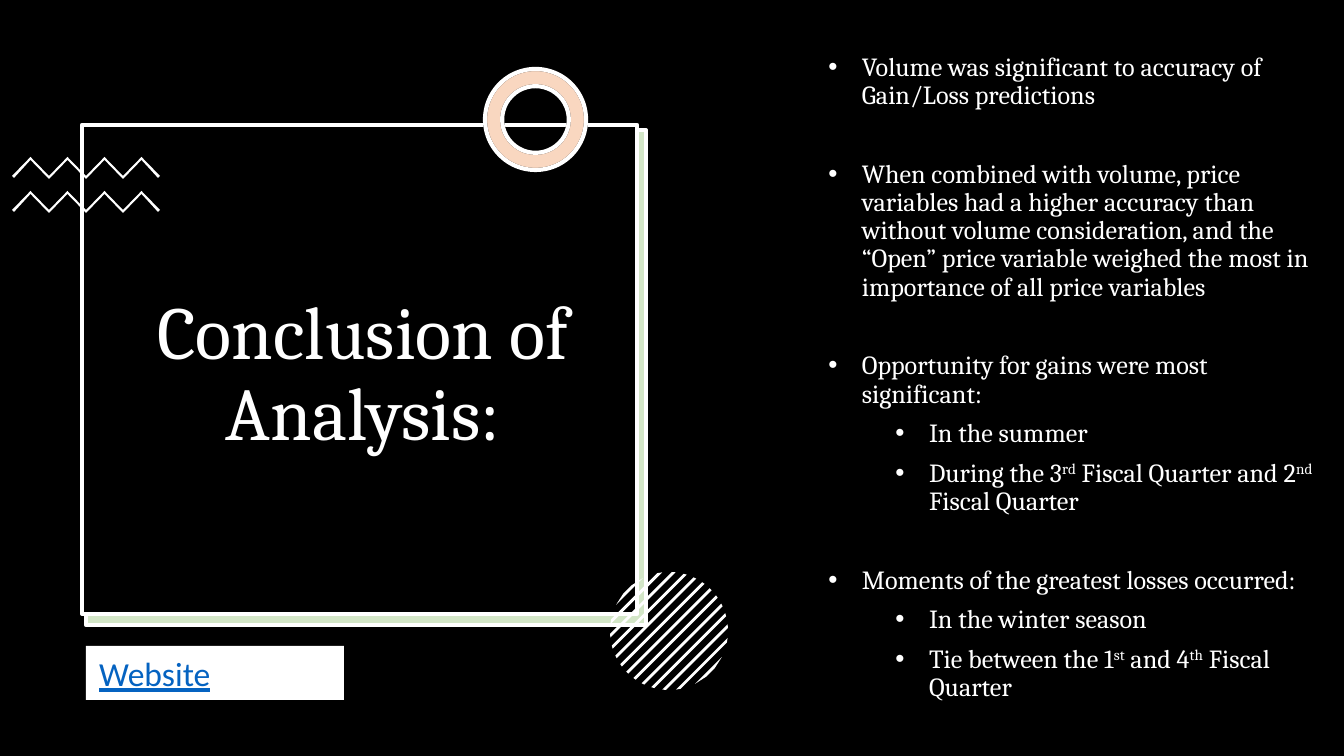
import math
from dataclasses import dataclass

from lxml import etree
from pptx import Presentation
from pptx import util as u
from pptx.dml.color import RGBColor
from pptx.enum import shapes, text
from pptx.oxml import ns

SCALE = u.Inches(10) / 1344


@dataclass(frozen=True)
class Theme:
    dark: str = "000000"
    light: str = "FFFFFF"
    green: str = "70AD47"
    orange: str = "ED7D31"
    link: str = "0563C1"
    serif: str = "Cambria"
    sans: str = "Calibri"
    title: int = 40
    body: int = 14
    label: int = 18
    outline: float = 2.25
    tint: int = 30


THEME = Theme()

FINDINGS = [
    (1, "Volume was significant to accuracy of Gain/Loss predictions"),
    (1, "When combined with volume, price variables had a higher accuracy than "
        "without volume consideration, and the “Open” price variable weighed "
        "the most in importance of all price variables"),
    (1, "Opportunity for gains were most significant:"),
    (2, "In the summer"),
    (2, "During the 3^rd^ Fiscal Quarter and 2^nd^ Fiscal Quarter"),
    (1, "Moments of the greatest losses occurred:"),
    (2, "In the winter season"),
    (2, "Tie between the 1^st^ and 4^th^ Fiscal Quarter"),
]


def px(value):
    return u.Emu(round(value * SCALE))


def set_all(target, values):
    for name, value in values.items():
        setattr(target, name, value)


def place(shape, left, top, width, height):
    set_all(shape, dict(left=px(left), top=px(top), width=px(width), height=px(height)))


def add_child(parent, tag, **attributes):
    return etree.SubElement(parent, ns.qn(tag), attributes)


def paint(shape, fill, line=None, alpha=None):
    shape.shadow.inherit = False
    shape.fill.solid()
    shape.fill.fore_color.rgb = RGBColor.from_string(fill)
    if alpha:
        color = shape.element.spPr.find(".//" + ns.qn("a:srgbClr"))
        add_child(color, "a:alpha", val=str(alpha * 1000))
    if line:
        shape.line.color.rgb = RGBColor.from_string(line)
        shape.line.width = u.Pt(THEME.outline)
    else:
        shape.line.fill.background()


def add_preset(slide, kind, box, fill, line=None, alpha=None):
    shape = slide.shapes.add_shape(kind, *map(px, box))
    paint(shape, fill, line, alpha)
    return shape


def add_outline(group, points):
    start, *rest = [(px(x), px(y)) for x, y in points]
    builder = group.shapes.build_freeform(*start, scale=1.0)
    builder.add_line_segments(rest, close=True)
    paint(builder.convert_to_shape(), THEME.light)


def add_zigzags(slide, left, tops):
    step, rise, thickness = 18.5, 19, 3
    group = slide.shapes.add_group_shape()
    for top in tops:
        upper = [(left + step * i, top + rise * (1 - i % 2)) for i in range(9)]
        lower = [(x, y + thickness) for x, y in upper[1:-1]]
        first = (left + 2, top + rise + 2)
        last = (left + 8 * step - 2, top + rise + 2)
        add_outline(group, upper + [last] + lower[::-1] + [first])


def add_striped_circle(slide, center_x, center_y, radius):
    pitch, half_width = 13.5, 2

    def chord(offset):
        reach = math.sqrt(radius ** 2 - offset ** 2 / 2) / math.sqrt(2)
        x, y = center_x + offset / 2, center_y + offset / 2
        return [(x + reach, y - reach), (x - reach, y + reach)]

    group = slide.shapes.add_group_shape()
    for index in range(-6, 7):
        middle = index * pitch
        add_outline(group, chord(middle - half_width) + chord(middle + half_width)[::-1])


def add_run(paragraph, words, size, font, color, **values):
    run = paragraph.add_run()
    run.text = words
    set_all(run.font, dict(size=u.Pt(size), name=font, **values))
    run.font.color.rgb = RGBColor.from_string(color)
    return run


def bring_forward(shape):
    shape.element.getparent().append(shape.element)


def fill_title(slide, words):
    title = slide.shapes.title
    bring_forward(title)
    place(title, 93, 153, 540, 446)
    set_all(title.text_frame, dict(word_wrap=True, auto_size=text.MSO_AUTO_SIZE.NONE,
                                   vertical_anchor=text.MSO_ANCHOR.MIDDLE))
    paragraph = title.text_frame.paragraphs[0]
    set_all(paragraph, dict(alignment=text.PP_ALIGN.CENTER, line_spacing=0.9,
                            space_before=u.Pt(0), space_after=u.Pt(6)))
    add_run(paragraph, words, THEME.title, THEME.serif, THEME.light)


def add_bullet(paragraph, level):
    properties = paragraph._p.get_or_add_pPr()
    set_all(paragraph, dict(level=level))
    properties.set("marL", str(u.Inches(0.5 + 0.5 * level)))
    properties.set("indent", str(u.Inches(-0.25)))
    add_child(add_child(properties, "a:buClr"), "a:srgbClr", val=THEME.light)
    add_child(properties, "a:buFont", typeface="Arial")
    add_child(properties, "a:buChar", char="•")


def fill_findings(slide, findings):
    body = slide.placeholders[1]
    bring_forward(body)
    place(body, 714, 47, 625, 701)
    frame = body.text_frame
    set_all(frame, dict(word_wrap=True, auto_size=text.MSO_AUTO_SIZE.NONE,
                        vertical_anchor=text.MSO_ANCHOR.TOP))
    for index, (level, words) in enumerate(findings):
        paragraph = frame.add_paragraph() if index else frame.paragraphs[0]
        before = 21 if index and level == 1 else 0
        add_bullet(paragraph, level)
        set_all(paragraph, dict(alignment=text.PP_ALIGN.LEFT, line_spacing=0.9,
                                space_before=u.Pt(before), space_after=u.Pt(6)))
        for position, part in enumerate(words.split("^")):
            run = add_run(paragraph, part, THEME.body, THEME.serif, THEME.light)
            if position % 2:
                run._r.get_or_add_rPr().set("baseline", "30000")


def add_label(slide, words):
    label = add_preset(slide, shapes.MSO_SHAPE.RECTANGLE, (86, 646, 258, 54), THEME.light)
    label.text_frame.word_wrap = True
    paragraph = label.text_frame.paragraphs[0]
    paragraph.alignment = text.PP_ALIGN.LEFT
    add_run(paragraph, words, THEME.label, THEME.sans, THEME.link, underline=True)


def add_frame(slide):
    rectangle = shapes.MSO_SHAPE.RECTANGLE
    back = (86, 130, 560, 495)
    add_preset(slide, rectangle, back, THEME.light)
    add_preset(slide, rectangle, back, THEME.green, THEME.light, THEME.tint)
    add_preset(slide, rectangle, (82, 125, 555, 489), THEME.dark, THEME.light)


def add_ring(slide):
    layers = [(THEME.light, THEME.dark, None), (THEME.orange, THEME.light, THEME.tint)]
    for layer in layers:
        ring = add_preset(slide, shapes.MSO_SHAPE.DONUT, (485, 69, 101, 101), *layer)
        ring.adjustments[0] = 0.17


def main():
    presentation = Presentation()
    set_all(presentation, dict(slide_width=px(1344), slide_height=px(756)))
    slide = presentation.slides.add_slide(presentation.slide_layouts[1])
    add_preset(slide, shapes.MSO_SHAPE.RECTANGLE, (0, 0, 1344, 756), THEME.dark)
    add_frame(slide)
    add_zigzags(slide, 12, (157, 191))
    add_ring(slide)
    add_striped_circle(slide, 669, 631, 59)
    fill_title(slide, "Conclusion of Analysis:")
    fill_findings(slide, FINDINGS)
    add_label(slide, "Website")
    presentation.save("out.pptx")


if __name__ == "__main__":
    main()
